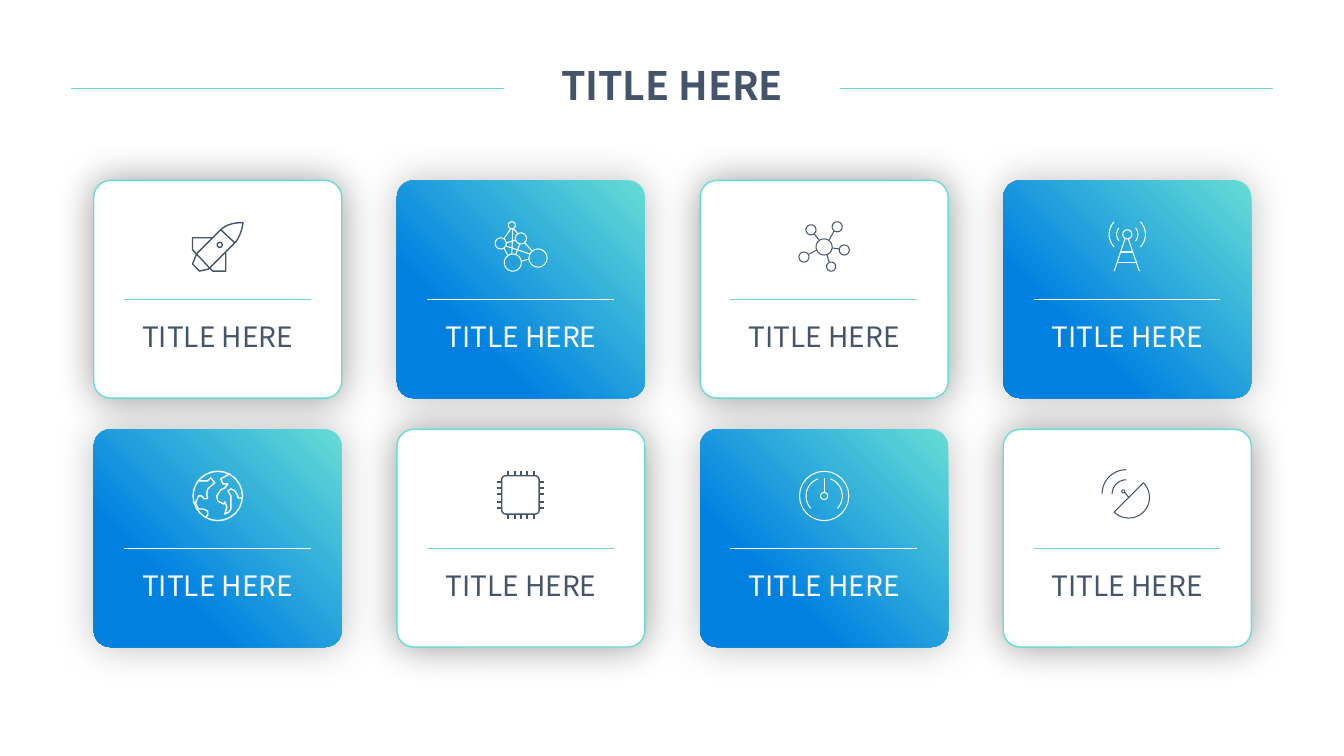
from math import cos, radians, sin

from lxml.etree import SubElement
from pptx import Presentation
from pptx.dml.color import RGBColor
from pptx.enum.shapes import MSO_CONNECTOR, MSO_SHAPE
from pptx.enum.text import MSO_ANCHOR, PP_ALIGN
from pptx.oxml.ns import qn
from pptx.util import Inches, Pt

TEAL = RGBColor(0x66, 0xDD, 0xD5)
BLUE = RGBColor(0x00, 0x81, 0xE1)
SLATE = RGBColor(0x44, 0x54, 0x6A)
WHITE = RGBColor(0xFF, 0xFF, 0xFF)
FONT = "Noto Sans CJK SC"

CARD_WIDTH, CARD_HEIGHT = 2.46, 2.16
LEFT, TOP = 0.93, 1.79
COLUMN_STEP, ROW_STEP = 3.007, 2.47
COLUMNS = 4
FINE = 100  # freeform units per hundredth of an inch


# Icon strokes are point lists in hundredths of an inch around the icon's centre.
def arc(x, y, radius, start, end):
    steps = 24
    angles = [radians(start + (end - start) * i / steps) for i in range(steps + 1)]
    return [(x + radius * cos(a), y + radius * sin(a)) for a in angles]


def circle(x, y, radius):
    return arc(x, y, radius, 0, 360)


def curve(start, control, end):
    """Cubic curve whose second control point is its end."""
    points = []
    for i in range(13):
        t = i / 12
        weights = (1 - t) ** 3, 3 * t * (1 - t) ** 2, 3 * t * t * (1 - t) + t ** 3
        points.append(tuple(sum(w * p[axis] for w, p in zip(weights, (start, control, end)))
                            for axis in (0, 1)))
    return points


def rocket():
    hull = (curve((25, -24), (24, -13), (18, -5))
            + [(-9, 22), (-18, 24), (-25, 17), (-21, 7)]
            + curve((3, -17), (11, -25), (25, -24)))
    return [hull, [(3, -17), (17, -4)],
            [(-5, -9), (-25, -9), (-25, 3), (-21, 7)],
            [(-21, 7), (-8, 21), (-5, 24), (8, 24), (8, 6)],
            circle(2, -2, 2.5)]


def network():
    nodes = [(-9, -21.5, 3.5), (-20, -3.5, 5.5), (-8, 15.5, 8.5), (0, -8.5, 5.5), (17, 11, 9)]
    links = [[(8, 12), (1, 14)], [(-14, -4), (-5, -7)], [(-5, 7), (-1, -3)],
             [(-13, 8), (-17, 1)], [(9, 7), (-15, -1)], [(-10, -18), (-17, -8)],
             [(11, 4), (4, -4)], [(-9, 7), (-8, -18)], [(-7, -18), (-3, -13)]]
    return [circle(*node) for node in nodes] + links


def molecule():
    atoms = [(0, 0, 8), (13, -20, 5), (-13, -17, 5), (-20, 10, 5), (7, 19.5, 4.5), (20, 3, 5)]
    bonds = [[(10, -16), (5, -7)], [(-5, -7), (-10, -13)], [(-15, 7), (-7, 3)],
             [(5, 15), (3, 8)], [(8, 1), (15, 2)]]
    return [circle(*atom) for atom in atoms] + bonds


def antenna():
    mast = [[(-13, 24), (-2, -9)], [(12, 24), (1, -8)],
            [(-6, 5), (5, 5)], [(-10, 15), (9, 15)]]
    waves = [arc(0, -12.5, radius, side - spread, side + spread)
             for radius, spread in ((18, 44), (10.5, 38)) for side in (0, 180)]
    return [circle(0, -12.5, 4.5)] + mast + waves


def globe():
    west = [(-12, 21), (-10, 19), (-10, 15), (-14, 13), (-19, 13), (-22, 7), (-19, 0),
            (-16, 0), (-13, 3), (-10, 2), (-11, -2), (-10, -7), (-3, -13), (-7, -18),
            (-10, -15), (-20, -15)]
    east = [(12, -22), (3, -17), (5, -12), (10, -12), (7, -8), (3, -6), (-1, 0), (0, 5),
            (6, 8), (7, 6), (9, 11), (7, 18), (11, 16), (13, 13), (13, 0), (10, -5),
            (13, -7), (17, -5), (20, 0), (20, 2), (24, 2)]
    return [circle(0, 0, 24.5), west, east]


def chip():
    body = (arc(14, 14, 4, 0, 90) + arc(-15, 14, 4, 90, 180)
            + arc(-15, -16, 4, 180, 270) + arc(14, -16, 4, 270, 360) + [(18, 14)])
    upright = [[(x, y), (x, y + 5)] for x in (-13, -6, 0, 6, 13) for y in (-25, 18)]
    level = [[(x, y), (x + 5, y)] for y in (-14, -8, -2, 6, 12) for x in (-24, 18)]
    return [body] + upright + level


def gauge():
    return [circle(0, 0, 3.5), circle(0, 0, 24.5), arc(0, 0, 18, -70, 43),
            arc(0, 0, 18, 137, 250), [(0, -18), (0, -4)]]


def dish():
    bowl = arc(1.5, 1.5, 20.5, -45, 135)
    return [bowl + bowl[:1], [(2, 2), (-3, -4)], circle(-4, -4.5, 1.5),
            arc(-1, -2, 14, 180, 270), arc(-1, -2, 24, 180, 270)]


CARDS = [(rocket, 1), (network, 0.75), (molecule, 0.75), (antenna, 0.75),
         (globe, 1), (chip, 1), (gauge, 0.75), (dish, 0.75)]


def add_icon(page, strokes, x, y, color, weight):
    scaled = [[(px * FINE, py * FINE) for px, py in stroke] for stroke in strokes]
    builder = page.shapes.build_freeform(*scaled[0][0], scale=Inches(1) / (100 * FINE))
    for number, stroke in enumerate(scaled):
        if number:
            builder.move_to(*stroke[0])
        builder.add_line_segments(stroke[1:], close=False)
    icon = builder.convert_to_shape(Inches(x), Inches(y))
    icon.shadow.inherit = False
    icon.fill.background()
    icon.line.color.rgb = color
    icon.line.width = Pt(weight)


def add_rule(page, left, right, y, color, weight):
    rule = page.shapes.add_connector(MSO_CONNECTOR.STRAIGHT, Inches(left), Inches(y),
                                     Inches(right), Inches(y))
    rule.line.color.rgb = color
    rule.line.width = Pt(weight)
    SubElement(rule._element.spPr, qn("a:effectLst"))


def write_label(box, size, color, bold=False):
    frame = box.text_frame
    frame.word_wrap = True
    frame.vertical_anchor = MSO_ANCHOR.MIDDLE
    para = frame.paragraphs[0]
    para.alignment = PP_ALIGN.CENTER
    span = para.add_run()
    span.text = "TITLE HERE"
    span.font.name = FONT
    span.font.size = Pt(size)
    span.font.bold = bold
    span.font.color.rgb = color


def add_glow(shape, opacity, blur):
    """Give the shape a soft black shadow on all sides."""
    shape.shadow.inherit = False
    effects = shape._element.spPr.find(qn("a:effectLst"))
    shadow = SubElement(effects, qn("a:outerShdw"), blurRad=str(Pt(blur)), dist="0",
                        dir="0", algn="ctr", rotWithShape="0")
    black = SubElement(shadow, qn("a:srgbClr"), val="000000")
    SubElement(black, qn("a:alpha"), val=str(opacity * 1000))


def add_card(page, left, top, strokes, weight, filled):
    card = page.shapes.add_shape(MSO_SHAPE.ROUNDED_RECTANGLE, Inches(left), Inches(top),
                                 Inches(CARD_WIDTH), Inches(CARD_HEIGHT))
    card.adjustments[0] = 0.077
    if filled:
        card.fill.gradient()
        card.fill.gradient_angle = 225
        for stop, color, position in zip(card.fill.gradient_stops, (TEAL, BLUE), (0, 0.71)):
            stop.color.rgb = color
            stop.position = position
        card.line.fill.background()
        add_glow(card, 25, 29)
    else:
        card.fill.solid()
        card.fill.fore_color.rgb = WHITE
        card.line.color.rgb = TEAL
        card.line.width = Pt(1)
        add_glow(card, 40, 28)
    ink = WHITE if filled else SLATE
    add_rule(page, left + 0.3, left + 2.15, top + 1.18, WHITE if filled else TEAL, 1)
    label = page.shapes.add_textbox(Inches(left + 0.08), Inches(top + 1.33),
                                    Inches(2.3), Inches(0.44))
    write_label(label, 20, ink)
    add_icon(page, strokes, left + CARD_WIDTH / 2, top + 0.66, ink, weight)


def add_heading(page):
    add_rule(page, 0.7, 5, 0.88, TEAL, 0.5)
    add_rule(page, 8.33, 12.63, 0.88, TEAL, 0.5)
    title = page.shapes.title
    title.left, title.top = Inches(5), Inches(0.56)
    title.width, title.height = Inches(3.33), Inches(0.57)
    write_label(title, 28, SLATE, bold=True)


def main():
    deck = Presentation()
    deck.slide_width, deck.slide_height = Inches(13.33), Inches(7.5)
    page = deck.slides.add_slide(deck.slide_layouts[5])
    add_heading(page)
    for number, (icon, weight) in enumerate(CARDS):
        row, column = divmod(number, COLUMNS)
        add_card(page, LEFT + column * COLUMN_STEP, TOP + row * ROW_STEP,
                 icon(), weight, filled=(row + column) % 2 == 1)
    deck.save("out.pptx")


if __name__ == "__main__":
    main()
